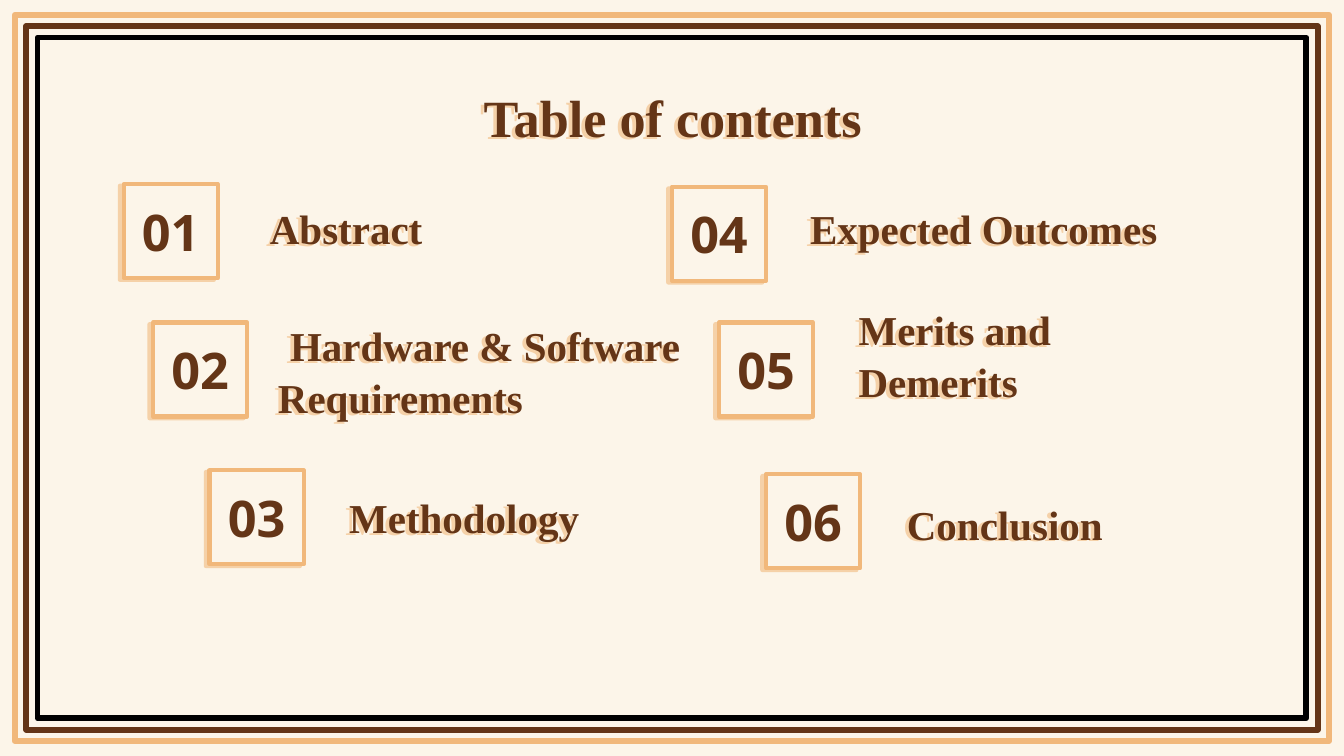
import pptx
import pptx.util
import pptx.dml.color
import pptx.enum.shapes
import pptx.enum.text
import pptx.oxml

CREAM, SAND, BROWN, BLACK = "FCF5E9", "F1B87B", "643517", "000000"
SERIF, SANS = "Times New Roman", "Open Sans"
ALIGN = pptx.enum.text.PP_ALIGN
ANCHOR = pptx.enum.text.MSO_ANCHOR
NS = 'xmlns:a="http://schemas.openxmlformats.org/drawingml/2006/main"'


def color(code):
    return pptx.dml.color.RGBColor.from_string(code)


class Deck:
    """Slide on a grid of 100 columns; cells are square, a tenth of an inch."""

    def __init__(self):
        self.prs = pptx.Presentation()
        self.cell = pptx.util.Inches(0.1)
        self.prs.slide_width = self.cell * 100
        self.prs.slide_height = round(self.cell * 56.25)
        self.slide = self.prs.slides.add_slide(self.prs.slide_layouts[5])
        fill = self.slide.background.fill
        fill.solid()
        fill.fore_color.rgb = color(CREAM)

    def grid(self, *cells):
        return [round(n * self.cell) for n in cells]

    def rect(self, x, y, w, h, line, width):
        kind = pptx.enum.shapes.MSO_SHAPE.RECTANGLE
        shape = self.slide.shapes.add_shape(kind, *self.grid(x, y, w, h))
        shape.shadow.inherit = False
        shape.fill.background()
        shape.line.color.rgb = color(line)
        shape.line.width = pptx.util.Pt(width)
        return shape

    def shade(self, shape):
        """Cast a hard sand shadow to the lower left."""
        shape.shadow.inherit = False
        effect = shape._element.spPr.find(pptx.oxml.ns.qn("a:effectLst"))
        effect.append(pptx.oxml.parse_xml(
            f'<a:outerShdw {NS} dist="27940" dir="9300000" algn="bl" '
            f'rotWithShape="0"><a:srgbClr val="{SAND}">'
            '<a:alpha val="58000"/></a:srgbClr></a:outerShdw>'))

    def letter(self, shape, text, size, face, align, anchor, space=None):
        """Put styled, shadowed text in a shape and return its paragraph."""
        frame = shape.text_frame
        frame.text = text
        frame.word_wrap = True
        frame.auto_size = pptx.enum.text.MSO_AUTO_SIZE.NONE
        frame.vertical_anchor = anchor
        frame.margin_left = frame.margin_right = self.cell
        frame.margin_top = frame.margin_bottom = self.cell
        para = frame.paragraphs[0]
        para.alignment = align
        para.line_spacing = space
        font = para.font
        font.name, font.size, font.bold = face, pptx.util.Pt(size), True
        font.color.rgb = color(BROWN)
        self.shade(shape)
        return para

    def title(self, text, x, y, w, h):
        shape = self.slide.shapes.title
        shape.left, shape.top, shape.width, shape.height = self.grid(x, y, w, h)
        self.letter(shape, text, 28, SERIF, ALIGN.CENTER, ANCHOR.TOP, 1.1)

    def badge(self, text, x, y):
        shape = self.rect(x, y, 7, 7, SAND, 2.25)
        shape.fill.solid()
        shape.fill.fore_color.rgb = color(CREAM)
        self.letter(shape, text, 27, SANS, ALIGN.CENTER, ANCHOR.MIDDLE)

    def label(self, text, x, y, w, h, indent=0):
        shape = self.slide.shapes.add_textbox(*self.grid(x, y, w, h))
        para = self.letter(shape, text, 22, SERIF, ALIGN.LEFT, ANCHOR.BOTTOM, 1.06)
        if indent:
            para._p.get_or_add_pPr().set("indent", str(round(indent * self.cell)))


# Badge corner, label text, label box, first-line indent
TOPICS = [
    ((9.2, 13.7), "Abstract", (19.1, 12.8, 30.2, 7), 0),
    ((11.4, 24), "Hardware & Software Requirements", (19.7, 27.4, 34.7, 5), 0.9),
    ((15.6, 35), "Methodology", (25, 35, 25, 6.3), 0),
    ((50, 13.9), "Expected Outcomes", (59.3, 14.8, 28, 5), 0),
    ((53.5, 24), "Merits and Demerits", (62.9, 21.4, 28, 9.8), 0),
    ((57, 35.3), "Conclusion", (66.5, 36.8, 28, 5), 0),
]


def main():
    deck = Deck()
    for step, line in enumerate((SAND, BROWN, BLACK)):
        edge = 1.1 + 0.85 * step
        deck.rect(edge, edge, 100 - 2 * edge, 56.25 - 2 * edge, line, 3)
    deck.title("Table of contents", 7.9, 4.9, 84.3, 6.3)
    for num, (spot, text, box, indent) in enumerate(TOPICS, 1):
        deck.badge(f"{num:02}", *spot)
        deck.label(text, *box, indent)
    deck.prs.save("out.pptx")


if __name__ == "__main__":
    main()
